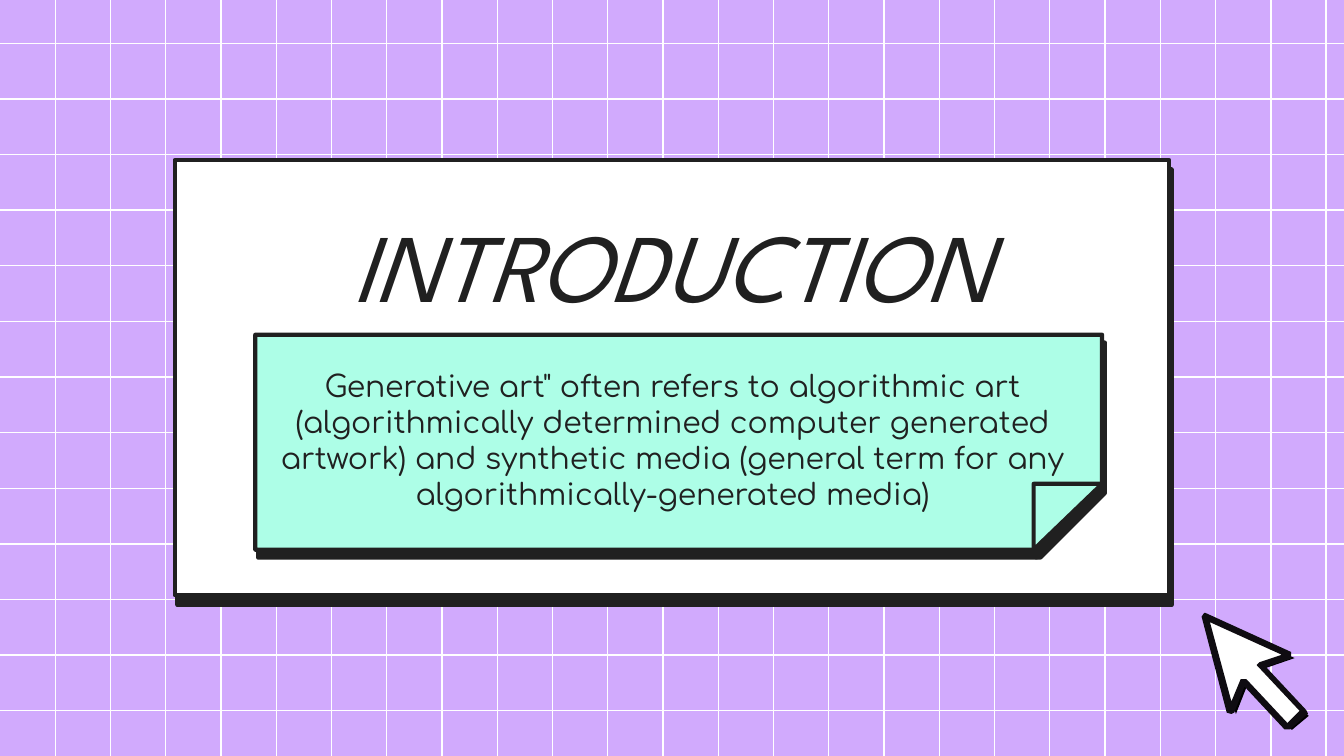
from lxml import etree
from pptx import Presentation
from pptx import util as u
from pptx.dml.color import RGBColor
from pptx.enum import shapes, text
from pptx.oxml import ns

Pt = u.Pt
COLOURS = {
    "lilac": "D1AAFD",
    "white": "FFFFFF",
    "mint": "ADFEE7",
    "ink": "202020",
    "outline": "0F0C11",
    "black": "000000",
}
PAGE_WIDTH, PAGE_HEIGHT = 720, 405
BODY = (
    'Generative art" often refers to algorithmic art (algorithmically determined '
    "computer generated artwork) and synthetic media (general term for any "
    "algorithmically-generated media)"
)
ARROW = [(1.5, 2), (16, 52.5), (22.5, 36), (46, 61), (55, 53.5), (31.5, 28), (47.5, 22.5)]
ARROW_RIM = [
    (1.5, 0), (0, 2), (13.5, 53.5), (16, 54.2), (17.5, 53.5), (23, 39.5), (44.5, 62.5),
    (47.5, 62.5), (57, 54), (56, 52), (34.5, 29), (48, 24.5), (48, 21), (2, 0),
]
ARROW_HOLE = [
    (4.5, 5), (43, 22.5), (31, 26.5), (29.5, 28), (52.5, 52.5), (46, 59),
    (24, 35.5), (21, 35.5), (16, 47.5),
]


def rgb(name):
    """Return the named colour."""
    return RGBColor.from_string(COLOURS[name])


def paint(shape, fill, line=None):
    """Give a shape a solid fill, an optional outline and no shadow."""
    shape.fill.solid()
    shape.fill.fore_color.rgb = rgb(fill)
    if line:
        shape.line.color.rgb = rgb(line)
        shape.line.width = Pt(2.25)
    else:
        shape.line.fill.background()
    shape.shadow.inherit = False


def cast_shadow(shape, colour, distance, angle):
    """Add a hard shadow to a painted shape."""
    effects = shape.element.spPr.find(ns.qn("a:effectLst"))
    shadow = etree.SubElement(
        effects, ns.qn("a:outerShdw"), dist=str(Pt(distance)),
        dir=str(angle * 60000), algn="bl", rotWithShape="0",
    )
    etree.SubElement(shadow, ns.qn("a:srgbClr"), val=COLOURS[colour])


def add_grid_line(page, start, end):
    """Draw one thin white line between two points."""
    line = page.shapes.add_connector(
        shapes.MSO_CONNECTOR.STRAIGHT, *(Pt(value) for value in (*start, *end))
    )
    line.line.color.rgb = rgb("white")
    line.line.width = Pt(0.75)
    etree.SubElement(line.element.spPr, ns.qn("a:effectLst"))


def add_grid(page, left, top, width, height):
    """Cover the box with a grid of evenly spaced lines."""
    for row in range(13):
        y = top + 23.2 + row * 29.8
        add_grid_line(page, (left, y), (left + width, y))
    for column in range(24):
        x = left + (column + 1) * 29.6
        add_grid_line(page, (x, top), (x, top + height))


def add_card(page, left, top, width, height):
    """Place the white card."""
    card = page.shapes.add_shape(
        shapes.MSO_SHAPE.RECTANGLE, Pt(left), Pt(top), Pt(width), Pt(height)
    )
    paint(card, "white", "ink")
    cast_shadow(card, "ink", 5.2, 74)


def add_note(page, left, top, width, height):
    """Place the mint note with its folded lower right corner."""
    fold_width, fold_height = 36.7, 35.3
    fold_box = (left + width - fold_width, top + height - fold_height, fold_width, fold_height)
    parts = [
        (shapes.MSO_SHAPE.SNIP_1_RECTANGLE, (left, top, width, height)),
        (shapes.MSO_SHAPE.RIGHT_TRIANGLE, fold_box),
    ]
    for kind, box in parts:
        part = page.shapes.add_shape(kind, *(Pt(value) for value in box))
        if kind == shapes.MSO_SHAPE.SNIP_1_RECTANGLE:
            part.adjustments[0] = 0.3
        part.rotation = 180
        part.element.spPr.find(ns.qn("a:xfrm")).set("flipH", "1")
        paint(part, "mint", "ink")
        cast_shadow(part, "ink", 4.5, 70)


def add_text(page, left, top, width, height, words, font, size, italic=False):
    """Place a centred line or paragraph of text."""
    box = page.shapes.add_textbox(Pt(left), Pt(top), Pt(width), Pt(height))
    frame = box.text_frame
    frame.word_wrap = True
    frame.vertical_anchor = text.MSO_ANCHOR.TOP
    frame.margin_left = frame.margin_right = Pt(7.2)
    frame.margin_top = frame.margin_bottom = Pt(7.2)
    frame.text = words
    para = frame.paragraphs[0]
    para.alignment = text.PP_ALIGN.CENTER
    span = para.runs[0]
    span.font.name = font
    span.font.size = Pt(size)
    span.font.italic = italic
    span.font.color.rgb = rgb("ink")


def add_outline(page, left, top, *contours):
    """Build one closed shape from contours measured from its box corner."""
    builder = None
    for contour in contours:
        points = [(Pt(left + x), Pt(top + y)) for x, y in contour]
        if builder is None:
            builder = page.shapes.build_freeform(*points[0])
        else:
            builder.move_to(*points[0])
        builder.add_line_segments(points[1:], close=True)
    return builder.convert_to_shape()


def add_pointer(page, left, top):
    """Place the mouse pointer with its dark rim."""
    arrow = add_outline(page, left, top, ARROW)
    paint(arrow, "white")
    cast_shadow(arrow, "black", 3, 36)
    rim = add_outline(page, left, top, ARROW_RIM, ARROW_HOLE)
    paint(rim, "outline")


def main():
    """Build the introduction slide and save it."""
    deck = Presentation()
    deck.slide_width, deck.slide_height = Pt(PAGE_WIDTH), Pt(PAGE_HEIGHT)
    page = deck.slides.add_slide(deck.slide_layouts[6])
    page.background.fill.solid()
    page.background.fill.fore_color.rgb = rgb("lilac")
    add_grid(page, 0, 0, PAGE_WIDTH, PAGE_HEIGHT)
    add_card(page, 93.6, 85.7, 532.8, 233.3)
    add_note(page, 136.8, 179.3, 453.6, 115.2)
    add_text(page, 139, 190, 442.8, 87.1, BODY, "Comfortaa", 16)
    add_text(page, 128.9, 103, 461.5, 66.2, "INTRODUCTION", "League Spartan", 52, italic=True)
    add_pointer(page, 643.7, 328.3)
    deck.save("out.pptx")


if __name__ == "__main__":
    main()
